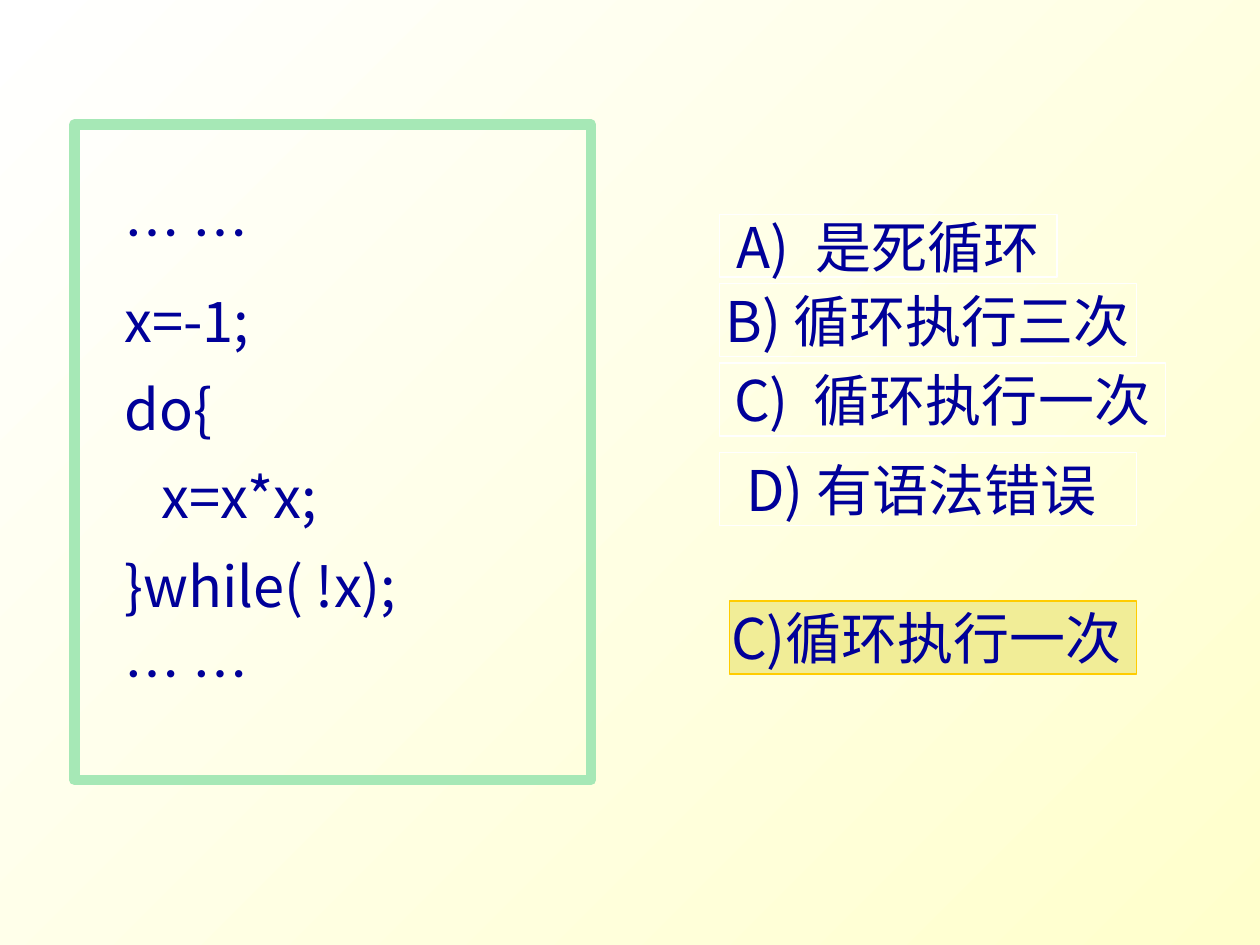
from dataclasses import dataclass

from pptx import Presentation
from pptx.dml.color import RGBColor
from pptx.enum.shapes import MSO_SHAPE as Shape
from pptx.enum.text import MSO_ANCHOR as Anchor, PP_ALIGN as Align
from pptx.oxml.ns import qn
from pptx.util import Pt
from lxml.etree import SubElement

COLORS = {
    "text": "000099",
    "code_frame": "A6E8B6",
    "option_frame": "FFFFFF",
    "answer_fill": "F1ED97",
    "answer_frame": "FFCC00",
    "background_start": "FFFFFF",
    "background_end": "FFFFCC",
}
FONT = "Noto Sans CJK SC"
FONT_SIZE = 32
INSET = 7.2
SPACE_WIDTH = 7.2
CODE_LINES = [
    "   … …",
    "   x=-1;",
    "   do{",
    "      x=x*x;",
    "   }while( !x);",
    "   … …",
]


@dataclass
class Choice:
    label: str
    wording: str
    left: float
    top: float
    width: float
    height: float = 41.8
    gap: str = " "
    gap_extra: float = 0
    right_extra: float = 0
    frame: str = "option_frame"
    fill: str = ""


CHOICES = [
    Choice("A)", "是死循环", 411, 122.4, 193, height=36, gap_extra=SPACE_WIDTH),
    Choice("B)", "循环执行三次", 411, 162, 238.3),
    Choice("C)", "循环执行一次", 411, 207.4, 254.9, gap_extra=SPACE_WIDTH),
    Choice("D)", "有语法错误", 411, 258.5, 238.3, right_extra=SPACE_WIDTH),
    Choice("C)", "循环执行一次", 416.9, 343.4, 232.6, gap="", right_extra=SPACE_WIDTH,
           frame="answer_frame", fill="answer_fill"),
]


def color(name: str) -> RGBColor:
    return RGBColor.from_string(COLORS[name])


def add_box(page, left: float, top: float, width: float, height: float,
            frame: str, line_width: float, fill: str = ""):
    box = page.shapes.add_shape(Shape.RECTANGLE, Pt(left), Pt(top), Pt(width), Pt(height))
    box.shadow.inherit = False
    if fill:
        box.fill.solid()
        box.fill.fore_color.rgb = color(fill)
    else:
        box.fill.background()
    box.line.color.rgb = color(frame)
    box.line.width = Pt(line_width)
    text = box.text_frame
    text.word_wrap = False
    text.vertical_anchor = Anchor.MIDDLE
    text.margin_left = text.margin_right = Pt(INSET)
    text.margin_top = text.margin_bottom = Pt(INSET / 2)
    return box


def add_span(para, wording: str, spacing: float = 0) -> None:
    span = para.add_run()
    span.text = wording
    span.font.size = Pt(FONT_SIZE)
    span.font.name = FONT
    span.font.color.rgb = color("text")
    properties = span.font._element
    SubElement(properties, qn("a:ea")).set("typeface", FONT)
    if spacing:
        properties.set("spc", str(round(spacing * 100)))


def add_code(page, lines: list[str]) -> None:
    text = add_box(page, 42.5, 71.3, 295.2, 374.4, "code_frame", 6).text_frame
    for number, line in enumerate(lines):
        para = text.add_paragraph() if number else text.paragraphs[0]
        para.alignment = Align.LEFT
        para.space_before = Pt(12 if number else 0)
        add_span(para, line)


def add_choice(page, choice: Choice) -> None:
    box = add_box(page, choice.left, choice.top, choice.width, choice.height,
                  choice.frame, 0.75, choice.fill)
    box.text_frame.margin_right = Pt(INSET + choice.right_extra)
    para = box.text_frame.paragraphs[0]
    para.alignment = Align.CENTER
    add_span(para, choice.label)
    if choice.gap:
        add_span(para, choice.gap, choice.gap_extra)
    add_span(para, choice.wording)


def paint_background(page) -> None:
    fill = page.background.fill
    fill.gradient()
    fill.gradient_angle = 315
    for stop, name in zip(fill.gradient_stops, ("background_start", "background_end")):
        stop.color.rgb = color(name)


def main() -> None:
    deck = Presentation()
    deck.slide_width, deck.slide_height = Pt(720), Pt(540)
    page = deck.slides.add_slide(deck.slide_layouts[6])
    paint_background(page)
    add_code(page, CODE_LINES)
    for choice in CHOICES:
        add_choice(page, choice)
    deck.save("out.pptx")


if __name__ == "__main__":
    main()
